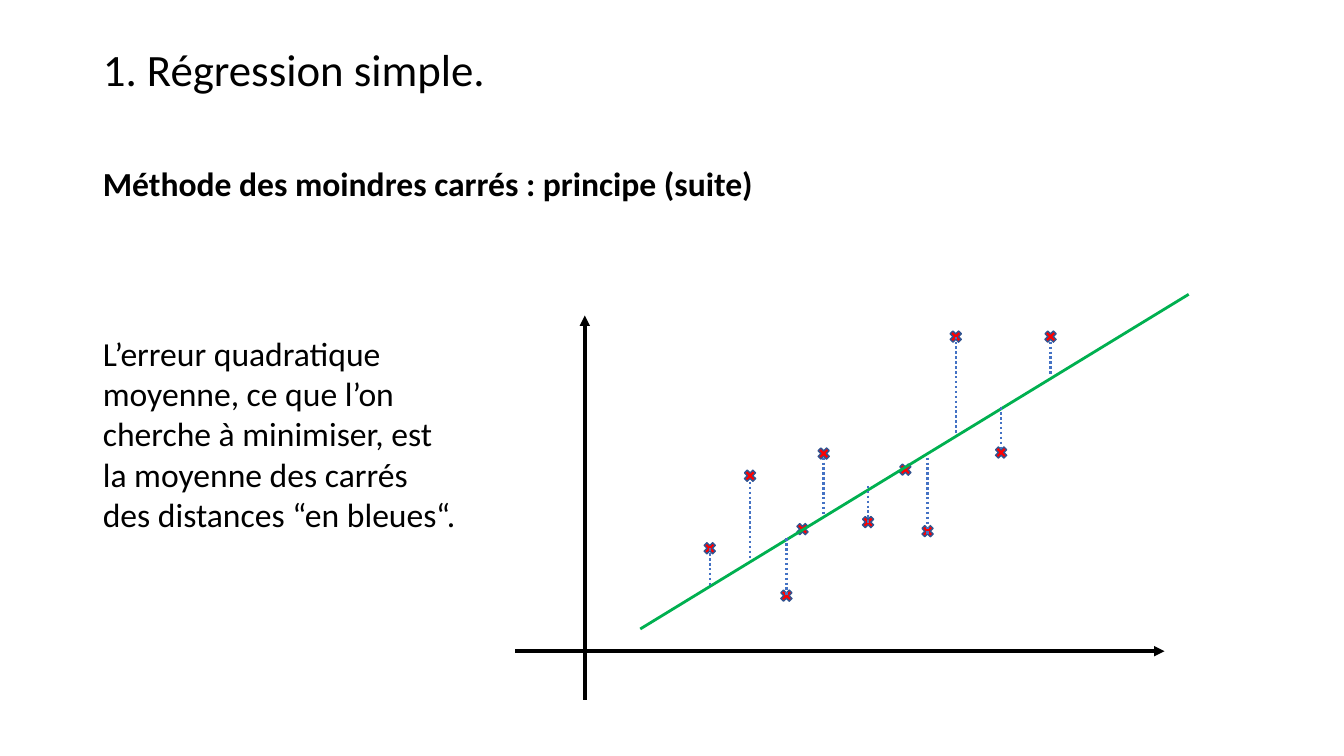
from dataclasses import dataclass

from lxml import etree
from pptx import Presentation
from pptx.dml.color import RGBColor
from pptx.enum.dml import MSO_LINE
from pptx.enum.shapes import MSO_CONNECTOR, MSO_SHAPE
from pptx.enum.text import MSO_ANCHOR, MSO_AUTO_SIZE, PP_ALIGN
from pptx.oxml.ns import qn
from pptx.util import Inches, Pt

STRAIGHT = MSO_CONNECTOR.STRAIGHT
CROSS = MSO_SHAPE.MATH_MULTIPLY
DOTTED = MSO_LINE.ROUND_DOT
TOP, MIDDLE = MSO_ANCHOR.TOP, MSO_ANCHOR.MIDDLE
LEFT = PP_ALIGN.LEFT
FIXED = MSO_AUTO_SIZE.NONE


@dataclass(frozen=True)
class Theme:
    font: str = "Calibri"
    title_size: int = 32
    body_size: int = 24
    ink: RGBColor = RGBColor(0, 0, 0)
    point: RGBColor = RGBColor(0xFF, 0, 0)
    point_edge: RGBColor = RGBColor(0x32, 0x54, 0x91)
    fit: RGBColor = RGBColor(0, 0xB0, 0x50)
    error: RGBColor = RGBColor(0x44, 0x72, 0xC4)


THEME = Theme()


def write_text(holder, box, text, size, bold=False, anchor=TOP, spacing=1.0):
    holder.left, holder.top, holder.width, holder.height = map(Inches, box)
    frame = holder.text_frame
    frame.text = text
    frame.word_wrap = True
    frame.auto_size = FIXED
    frame.vertical_anchor = anchor
    paragraph = frame.paragraphs[0]
    properties = paragraph._p.get_or_add_pPr()
    properties.set("marL", "0")
    properties.set("indent", "0")
    etree.SubElement(properties, qn("a:buNone"))
    paragraph.alignment = LEFT
    paragraph.space_before = Pt(0)
    paragraph.line_spacing = spacing
    paragraph.font.name = THEME.font
    paragraph.font.size = Pt(size)
    paragraph.font.bold = bold
    paragraph.font.color.rgb = THEME.ink


def draw_line(start, end, color, width, arrow=False):
    line = slide.shapes.add_connector(STRAIGHT, *map(Inches, start + end))
    line.line.color.rgb = color
    line.line.width = Pt(width)
    if arrow:
        etree.SubElement(line.line._get_or_add_ln(), qn("a:tailEnd"), type="triangle")
    etree.SubElement(line._element.spPr, qn("a:effectLst"))
    return line


prs = Presentation()
prs.slide_width = Inches(13.33)
prs.slide_height = Inches(7.5)
slide = prs.slides.add_slide(prs.slide_layouts.get_by_name("Two Content"))

# Title, heading and explanation
heading, explanation = slide.placeholders[1], slide.placeholders[2]
write_text(slide.shapes.title, (0.92, 0.4, 11.5, 0.63), "1. Régression simple.",
           THEME.title_size, anchor=MIDDLE, spacing=0.9)
write_text(heading, (0.92, 1.57, 11.5, 0.5),
           "Méthode des moindres carrés : principe (suite)", THEME.body_size, bold=True)
write_text(explanation, (0.92, 3.25, 3.73, 2.12),
           "L’erreur quadratique moyenne, ce que l’on cherche à minimiser, "
           "est la moyenne des carrés des distances “en bleues“.", THEME.body_size)

# Axes
draw_line((5.8, 6.94), (5.8, 3.13), THEME.ink, 2.5, arrow=True)
draw_line((5.11, 6.46), (11.55, 6.46), THEME.ink, 2.5, arrow=True)

# Observations: centre x, centre y, vertical extent of the error (None on the line)
observations = [
    (7.04, 5.44, (5.44, 5.83)),
    (7.44, 4.72, (4.78, 5.56)),
    (7.8, 5.91, (5.34, 5.9)),
    (7.96, 5.25, None),
    (8.17, 4.5, (4.54, 5.11)),
    (8.61, 5.18, (4.82, 5.21)),
    (8.98, 4.66, None),
    (9.2, 5.27, (4.54, 5.32)),
    (9.48, 3.34, (3.34, 4.31)),
    (9.93, 4.49, (4.04, 4.47)),
    (10.42, 3.34, (3.39, 3.73)),
]
CROSS_SIZE = 0.16
for x, y, _ in observations:
    cross = slide.shapes.add_shape(
        CROSS, Inches(x - CROSS_SIZE / 2), Inches(y - CROSS_SIZE / 2),
        Inches(CROSS_SIZE), Inches(CROSS_SIZE))
    cross.shadow.inherit = False
    cross.fill.solid()
    cross.fill.fore_color.rgb = THEME.point
    cross.line.color.rgb = THEME.point_edge
    cross.line.width = Pt(1)

# Regression line
draw_line((6.35, 6.24), (11.79, 2.92), THEME.fit, 2)

# Errors between observations and regression line
for x, _, extent in observations:
    if extent:
        upper, lower = extent
        error = draw_line((x, upper), (x, lower), THEME.error, 1.75)
        error.line.dash_style = DOTTED

prs.save("out.pptx")
